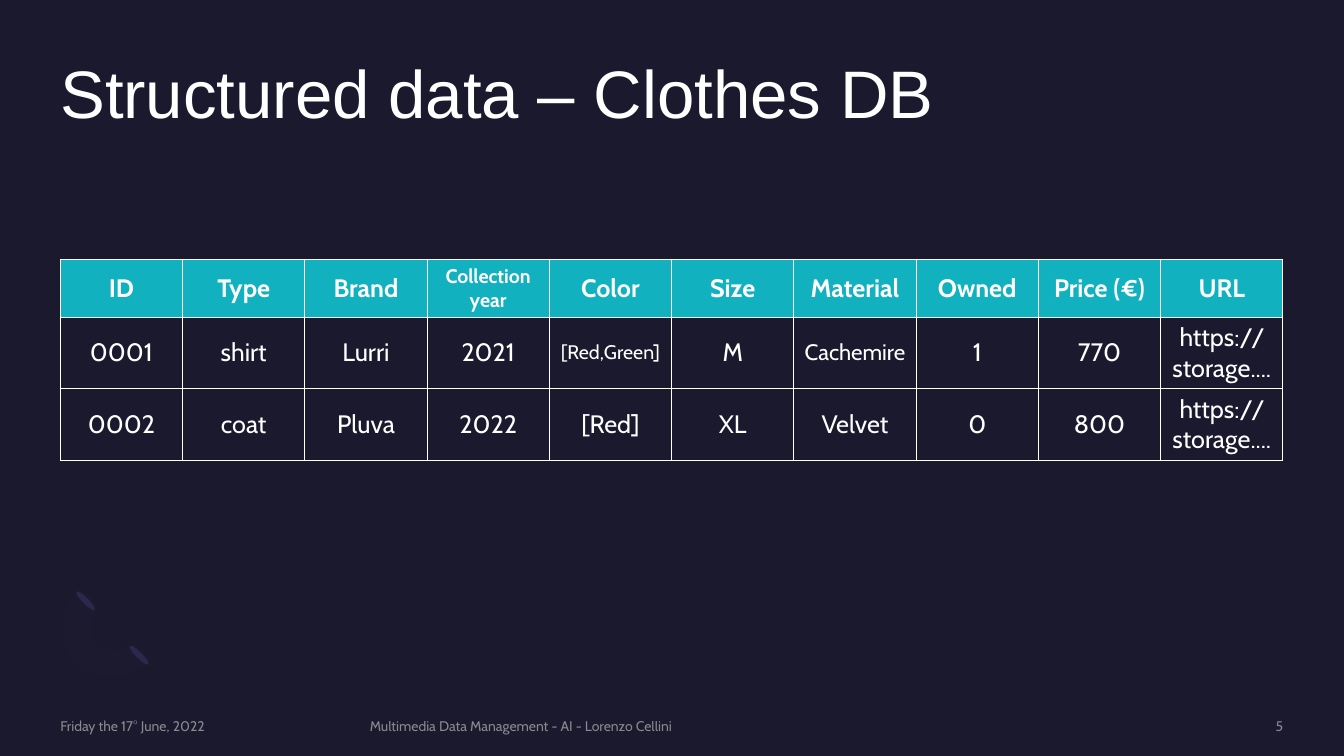
from dataclasses import dataclass
from typing import NamedTuple

from lxml.etree import SubElement
from pptx import Presentation
from pptx.dml.color import RGBColor
from pptx.enum.shapes import MSO_SHAPE as Shape
from pptx.enum.text import MSO_ANCHOR as Anchor, PP_ALIGN as Align
from pptx.oxml import parse_xml
from pptx.oxml.ns import nsdecls, qn
from pptx.util import Cm, Pt


@dataclass(frozen=True)
class Theme:
    background: str = "1B192E"
    text: str = "FFFFFF"
    header: str = "12B1BF"
    footer: str = "A6A6A6"
    petal: str = "2C284A"
    crescent: str = "7771B2"
    title_font: str = "Arial"
    body_font: str = "Cabin"
    title_size: int = 48
    cell_size: int = 18
    medium_size: int = 16
    small_size: int = 14
    footer_size: int = 10
    border_width: float = 0.75


class Label(NamedTuple):
    text: str
    left: float
    top: float
    width: float
    height: float
    font: str
    size: int
    color: str
    alpha: int = 100
    align: Align = Align.LEFT
    anchor: Anchor = Anchor.MIDDLE
    spacing: float = 1.0


class Petal(NamedTuple):
    left: float
    top: float


class Curve(NamedTuple):
    start: tuple
    control1: tuple
    control2: tuple
    end: tuple


THEME = Theme()
MARGIN = 1.52
CONTENT_WIDTH = 30.81
FOOTER_TOP, FOOTER_HEIGHT = 18.08, 0.43
FOOTER_STYLE = (THEME.body_font, THEME.footer_size, THEME.footer, 80)

LABELS = [
    Label("Structured data – Clothes DB", MARGIN, 1.52, CONTENT_WIDTH, 3.71,
          THEME.title_font, THEME.title_size, THEME.text,
          anchor=Anchor.TOP, spacing=0.9),
    Label("Friday the 17° June, 2022", MARGIN, FOOTER_TOP, 7.32, FOOTER_HEIGHT,
          *FOOTER_STYLE),
    Label("Multimedia Data Management - AI - Lorenzo Cellini", 9.32, FOOTER_TOP,
          17.73, FOOTER_HEIGHT, *FOOTER_STYLE),
    Label("5", 27.64, FOOTER_TOP, 4.7, FOOTER_HEIGHT, *FOOTER_STYLE,
          align=Align.RIGHT),
]

PETALS = [Petal(3.43, 16.18), Petal(2.08, 14.81)]
CRESCENT = [
    Curve((1.93, 16.74), (1.42, 16.23), (1.47, 15.37), (2.06, 14.78)),
    Curve((2.51, 15.24), (2.21, 15.52), (2.18, 15.98), (2.44, 16.21)),
    Curve((2.44, 16.21), (2.69, 16.46), (3.12, 16.43), (3.43, 16.15)),
    Curve((3.86, 16.61), (3.3, 17.17), (2.41, 17.25), (1.93, 16.74)),
]

TABLE_TOP, ROW_HEIGHT = 6.53, 1.37
ROWS = [
    ["ID", "Type", "Brand", "Collection year", "Color", "Size", "Material",
     "Owned", "Price (€)", "URL"],
    ["0001", "shirt", "Lurri", "2021", "[Red,Green]", "M", "Cachemire",
     "1", "770", "https://storage...."],
    ["0002", "coat", "Pluva", "2022", "[Red]", "XL", "Velvet",
     "0", "800", "https://storage...."],
]
SIZES = {
    "Collection year": THEME.small_size,
    "[Red,Green]": THEME.small_size,
    "Cachemire": THEME.medium_size,
}


def rgb(color: str) -> RGBColor:
    return RGBColor.from_string(color)


def set_alpha(element, percent: int) -> None:
    for color in element.iter(qn("a:srgbClr")):
        SubElement(color, qn("a:alpha"), val=str(percent * 1000))


def style_font(p, name: str, size: int, color: str, bold: bool = False) -> None:
    p.font.name = name
    p.font.size = Pt(size)
    p.font.bold = bold
    p.font.color.rgb = rgb(color)


def paint(s, color: str) -> None:
    s.shadow.inherit = False
    s.fill.solid()
    s.fill.fore_color.rgb = rgb(color)
    s.line.fill.background()


def add_label(slide, label: Label) -> None:
    s = slide.shapes.add_textbox(Cm(label.left), Cm(label.top),
                                 Cm(label.width), Cm(label.height))
    tf = s.text_frame
    tf.word_wrap = True
    tf.vertical_anchor = label.anchor
    tf.margin_left = tf.margin_top = tf.margin_right = tf.margin_bottom = 0
    p = tf.paragraphs[0]
    p.text = label.text
    p.alignment = label.align
    p.line_spacing = label.spacing
    style_font(p, label.font, label.size, label.color)
    if label.alpha < 100:
        set_alpha(p._p, label.alpha)


def add_petal(slide, petal: Petal) -> None:
    s = slide.shapes.add_shape(Shape.OVAL, Cm(petal.left), Cm(petal.top),
                               Cm(0.15), Cm(0.66))
    s.rotation = 135
    paint(s, THEME.petal)


def curve_points(curve: Curve, steps: int = 12) -> list[tuple]:
    points = []
    for step in range(steps + 1):
        t = step / steps
        u = 1 - t
        weights = (u ** 3, 3 * u * u * t, 3 * u * t * t, t ** 3)
        points.append(tuple(Cm(sum(w * point[axis] for w, point in zip(weights, curve)))
                            for axis in (0, 1)))
    return points


def add_crescent(slide) -> None:
    points = [point for curve in CRESCENT for point in curve_points(curve)]
    builder = slide.shapes.build_freeform(*points[0])
    builder.add_line_segments(points[1:], close=True)
    s = builder.convert_to_shape()
    paint(s, THEME.crescent)
    set_alpha(s._element.spPr, 1)


def add_borders(cell) -> None:
    tc_pr = cell._tc.get_or_add_tcPr()
    for index, side in enumerate(("lnL", "lnR", "lnT", "lnB")):
        tc_pr.insert(index, parse_xml(
            f'<a:{side} {nsdecls("a")} w="{Pt(THEME.border_width)}"><a:solidFill>'
            f'<a:srgbClr val="{THEME.text}"/></a:solidFill></a:{side}>'))


def fill_cell(cell, text: str, is_header: bool) -> None:
    cell.vertical_anchor = Anchor.MIDDLE
    if is_header:
        cell.fill.solid()
        cell.fill.fore_color.rgb = rgb(THEME.header)
    else:
        cell.fill.background()
    add_borders(cell)
    p = cell.text_frame.paragraphs[0]
    p.text = text
    p.alignment = Align.CENTER
    style_font(p, THEME.body_font, SIZES.get(text, THEME.cell_size),
               THEME.text, is_header)


def add_clothes_table(slide) -> None:
    table = slide.shapes.add_table(
        len(ROWS), len(ROWS[0]), Cm(MARGIN), Cm(TABLE_TOP),
        Cm(CONTENT_WIDTH), Cm(ROW_HEIGHT * len(ROWS))).table
    table.horz_banding = False
    for row, texts in enumerate(ROWS):
        for column, text in enumerate(texts):
            fill_cell(table.cell(row, column), text, row == 0)


def main() -> None:
    prs = Presentation()
    prs.slide_width, prs.slide_height = Cm(33.87), Cm(19.05)
    slide = prs.slides.add_slide(prs.slide_layouts[6])
    slide.background.fill.solid()
    slide.background.fill.fore_color.rgb = rgb(THEME.background)
    for petal in PETALS:
        add_petal(slide, petal)
    add_crescent(slide)
    add_clothes_table(slide)
    for label in LABELS:
        add_label(slide, label)
    prs.save("out.pptx")


if __name__ == "__main__":
    main()
